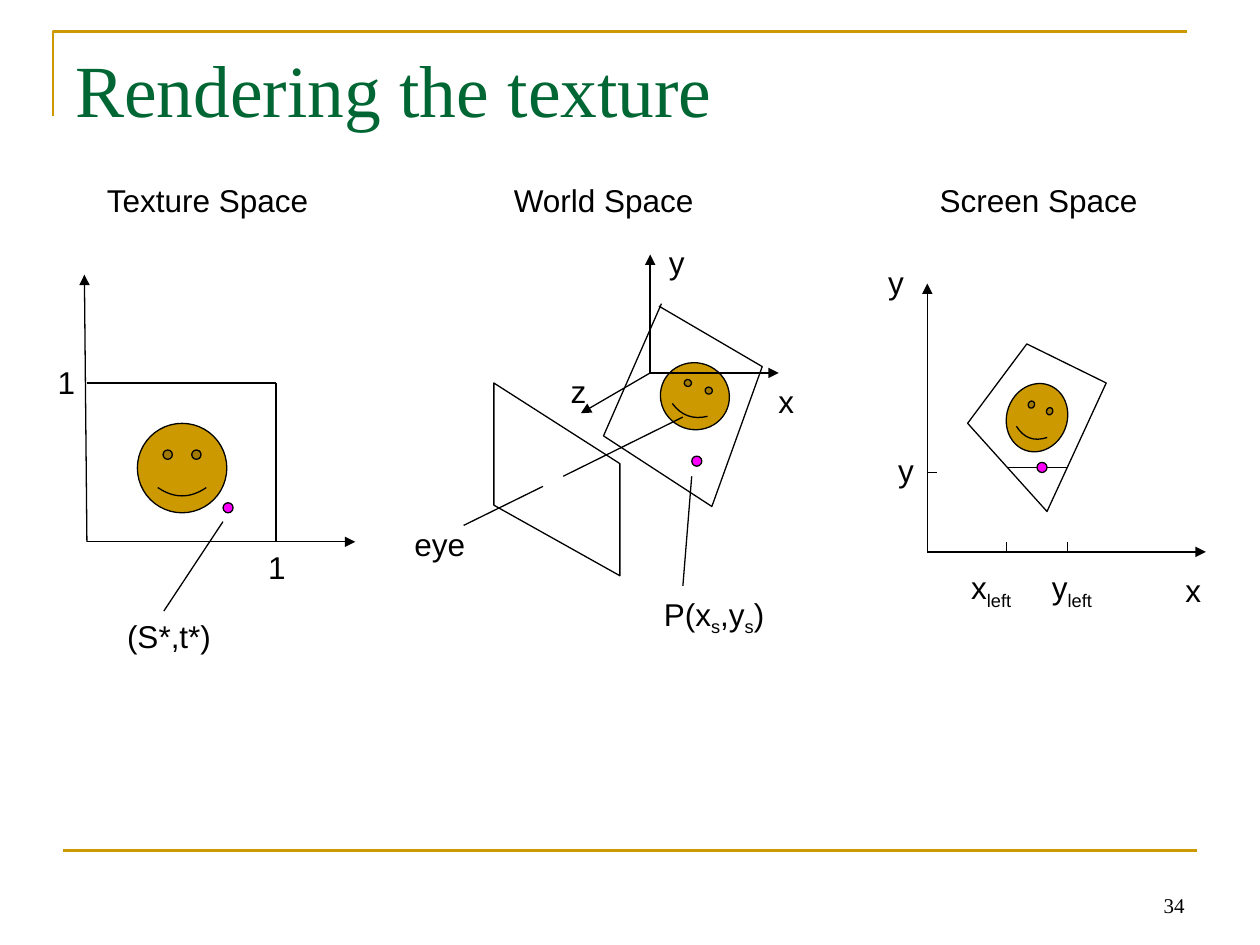
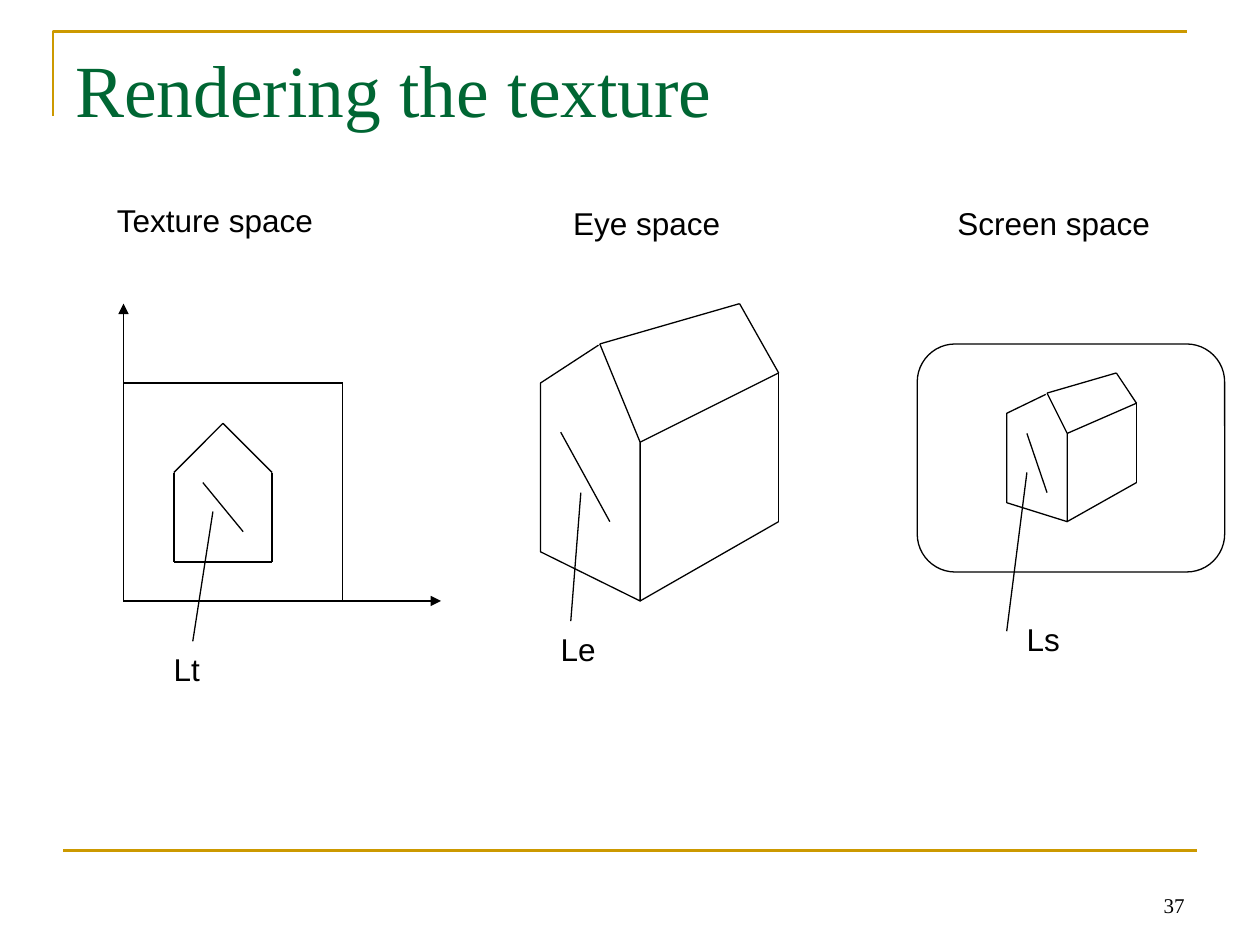
"""Build two slides showing how a texture is rendered from texture space to the screen."""
from dataclasses import dataclass

from lxml.etree import SubElement
from pptx import Presentation
from pptx.dml.color import RGBColor
from pptx.enum.shapes import MSO_CONNECTOR, MSO_SHAPE
from pptx.enum.text import MSO_ANCHOR, MSO_AUTO_SIZE, PP_ALIGN
from pptx.oxml.ns import qn
from pptx.util import Inches, Pt


@dataclass(frozen=True)
class Theme:
    ink: RGBColor = RGBColor(0, 0, 0)
    gold: RGBColor = RGBColor(0xCC, 0x99, 0x00)
    green: RGBColor = RGBColor(0x00, 0x66, 0x33)
    magenta: RGBColor = RGBColor(0xFF, 0x00, 0xFF)
    serif: str = "Times New Roman"
    sans: str = "Arial"
    title_size: float = 42
    label_size: float = 18
    number_size: float = 12
    thin: float = 0.75
    rule: float = 1.5


class Deck:
    def __init__(self, theme):
        self.theme = theme
        self.prs = Presentation()
        self.prs.slide_width, self.prs.slide_height = Inches(10), Inches(7.5)
        self.s = None

    def new_slide(self, title, number):
        t = self.theme
        self.s = self.prs.slides.add_slide(self.prs.slide_layouts[6])
        self.outline([(0.42, 0.92), (0.42, 0.25), (9.42, 0.25)], False, t.gold, t.rule)
        self.line((0.5, 6.75), (9.5, 6.75), color=t.gold, width=t.rule)
        self.text((0.5, 0.3, 9, 1.25), [title], t.serif, t.title_size, t.green)
        tf = self.text((7.17, 6.83, 2.33, 0.5), [str(number)], t.serif, t.number_size, t.ink)
        tf.vertical_anchor = MSO_ANCHOR.BOTTOM
        tf.paragraphs[0].alignment = PP_ALIGN.RIGHT

    def text(self, box, pieces, font, size, color):
        tf = self.s.shapes.add_textbox(*map(Inches, box)).text_frame
        tf.word_wrap = True
        p = tf.paragraphs[0]
        for i, piece in enumerate(pieces):
            r = p.add_run()
            r.text = piece
            if i % 2:
                r._r.get_or_add_rPr().set("baseline", "-25000")
        p.font.name, p.font.size, p.font.color.rgb = font, Pt(size), color
        return tf

    def label(self, x, y, w, *pieces):
        t = self.theme
        h = 0.44 if len(pieces) > 1 else 0.4
        tf = self.text((x, y, w, h), pieces, t.sans, t.label_size, t.ink)
        tf.word_wrap = False
        tf.auto_size = MSO_AUTO_SIZE.SHAPE_TO_FIT_TEXT

    def line(self, start, end, arrow=False, color=None, width=None):
        c = self.s.shapes.add_connector(MSO_CONNECTOR.STRAIGHT, *map(Inches, (*start, *end)))
        c.line.color.rgb = color or self.theme.ink
        c.line.width = Pt(width or self.theme.thin)
        if arrow:
            SubElement(c.line._get_or_add_ln(), qn("a:tailEnd"), type="triangle")
        SubElement(c._element.spPr, qn("a:effectLst"))

    def axes(self, origin, *tips):
        for tip in tips:
            self.line(origin, tip, arrow=True)

    def lines(self, *segments):
        for start, end in segments:
            self.line(start, end)

    def outline(self, points, close=True, color=None, width=None):
        first, *rest = [(Inches(x), Inches(y)) for x, y in points]
        builder = self.s.shapes.build_freeform(*first)
        builder.add_line_segments(rest, close=close)
        self.style(builder.convert_to_shape(), None, color, width)

    def shape(self, kind, box, fill=None):
        sp = self.s.shapes.add_shape(kind, *map(Inches, box))
        self.style(sp, fill)
        return sp

    def style(self, sp, fill=None, color=None, width=None):
        sp.shadow.inherit = False
        if fill is None:
            sp.fill.background()
        else:
            sp.fill.solid()
            sp.fill.fore_color.rgb = fill
        sp.line.color.rgb = color or self.theme.ink
        sp.line.width = Pt(width or self.theme.thin)

    def smiley(self, box, rotation=0):
        sp = self.shape(MSO_SHAPE.SMILEY_FACE, box, self.theme.gold)
        sp.adjustments[0] = 0.093
        sp.rotation = rotation

    def dot(self, x, y):
        self.shape(MSO_SHAPE.OVAL, (x, y, 0.08, 0.08), self.theme.magenta)

    def house(self, front, ridge, eave, base):
        self.outline(front, close=False)
        corner, near_eave, apex = front[3:]
        self.lines((near_eave, eave), (apex, ridge), (ridge, eave), (eave, base), (corner, base))


def face_slide(deck):
    deck.new_slide("Rendering the texture", 34)
    deck.label(0.75, 1.39, 1.83, "Texture Space")
    deck.label(3.98, 1.39, 1.64, "World Space")
    deck.label(7.36, 1.39, 1.78, "Screen Space")

    deck.smiley((1.09, 3.36, 0.71, 0.71))
    deck.axes((0.69, 4.3), (0.67, 2.18), (2.82, 4.3))
    deck.lines(((0.69, 3.04), (2.19, 3.04)), ((2.19, 4.3), (2.19, 3.04)),
               ((1.77, 4.14), (1.3, 4.85)))
    deck.dot(1.77, 3.99)
    deck.label(0.36, 2.83, 0.34, "1")
    deck.label(2.03, 4.3, 0.34, "1")
    deck.label(0.91, 4.85, 0.89, "(S*,t*)")

    deck.outline([(3.92, 3.04), (3.92, 4.01), (4.92, 4.57), (4.92, 3.68)])
    deck.outline([(5.23, 2.43), (6.05, 2.91), (5.65, 4.02), (4.79, 3.46), (5.25, 2.41)], False)
    deck.smiley((5.24, 2.88, 0.55, 0.53), 20)
    deck.dot(5.49, 3.62)
    deck.lines(((5.49, 3.78), (5.42, 4.65)), ((3.68, 4.17), (4.31, 3.86)),
               ((4.47, 3.78), (5.42, 3.31)))
    deck.axes((5.16, 2.96), (5.16, 2.02), (6.18, 2.96), (4.61, 3.28))
    deck.label(5.17, 4.67, 1.01, "P(x", "s", ",y", "s", ")")
    deck.label(3.19, 4.12, 0.62, "eye")
    deck.label(6.08, 2.98, 0.32, "x")
    deck.label(5.21, 1.88, 0.32, "y")
    deck.label(4.43, 2.9, 0.32, "z")

    deck.axes((7.36, 4.38), (9.57, 4.38), (7.36, 2.25))
    deck.outline([(8.15, 2.73), (7.68, 3.36), (8.31, 4.06), (8.78, 3.04)])
    deck.smiley((7.99, 3.04, 0.48, 0.55), 20)
    deck.lines(((7.99, 3.71), (8.47, 3.71)), ((7.36, 3.75), (7.44, 3.75)),
               *(((x, 4.38), (x, 4.3)) for x in (7.99, 8.47)))
    deck.dot(8.23, 3.67)
    deck.label(9.31, 4.48, 0.32, "x")
    deck.label(6.95, 2.04, 0.32, "y")
    deck.label(7.03, 3.53, 0.32, "y")
    deck.label(7.61, 4.46, 0.53, "x", "left")
    deck.label(8.25, 4.46, 0.53, "y", "left")


def house_slide(deck):
    deck.new_slide("Rendering the texture", 37)
    deck.label(0.83, 1.55, 1.79, "Texture space")
    deck.label(4.45, 1.57, 1.39, "Eye space")
    deck.label(7.5, 1.57, 1.74, "Screen space")

    deck.axes((0.98, 4.77), (0.98, 2.41), (3.5, 4.77))
    deck.lines(((0.98, 3.04), (2.72, 3.04)), ((2.72, 3.04), (2.72, 4.77)))
    facade = [(1.77, 3.36), (1.38, 3.75), (1.38, 4.46), (2.16, 4.46), (2.16, 3.75)]
    deck.lines(*zip(facade, facade[1:] + facade[:1]))
    deck.lines(((1.61, 3.83), (1.93, 4.22)), ((1.69, 4.06), (1.53, 5.09)))
    deck.label(1.28, 5.11, 0.43, "Lt")

    deck.house([(4.75, 2.74), (4.29, 3.04), (4.29, 4.38), (5.08, 4.77), (5.08, 3.51), (4.76, 2.73)],
               ridge=(5.87, 2.41), eave=(6.18, 2.96), base=(6.18, 4.14))
    deck.lines(((4.45, 3.43), (4.84, 4.14)), ((4.61, 3.91), (4.53, 4.93)))
    deck.label(4.35, 4.95, 0.49, "Le")

    deck.shape(MSO_SHAPE.FLOWCHART_ALTERNATE_PROCESS, (7.28, 2.73, 2.44, 1.81))
    deck.house([(8.3, 3.13), (7.99, 3.28), (7.99, 3.99), (8.47, 4.14), (8.47, 3.44), (8.31, 3.12)],
               ridge=(8.86, 2.96), eave=(9.02, 3.2), base=(9.02, 3.83))
    deck.lines(((8.15, 3.44), (8.31, 3.91)), ((8.15, 3.75), (7.99, 5.01)))
    deck.label(8.05, 4.87, 0.49, "Ls")


def main():
    deck = Deck(Theme())
    face_slide(deck)
    house_slide(deck)
    deck.prs.save("out.pptx")


if __name__ == "__main__":
    main()
